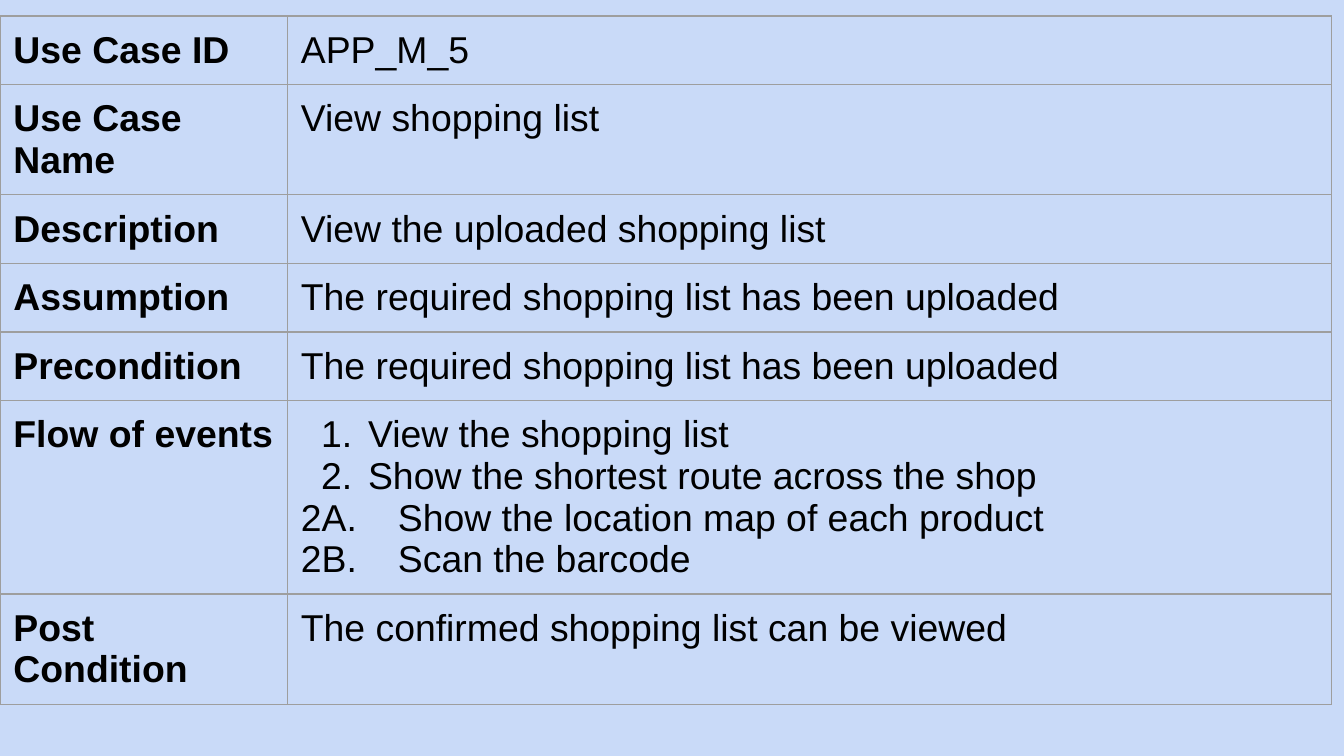
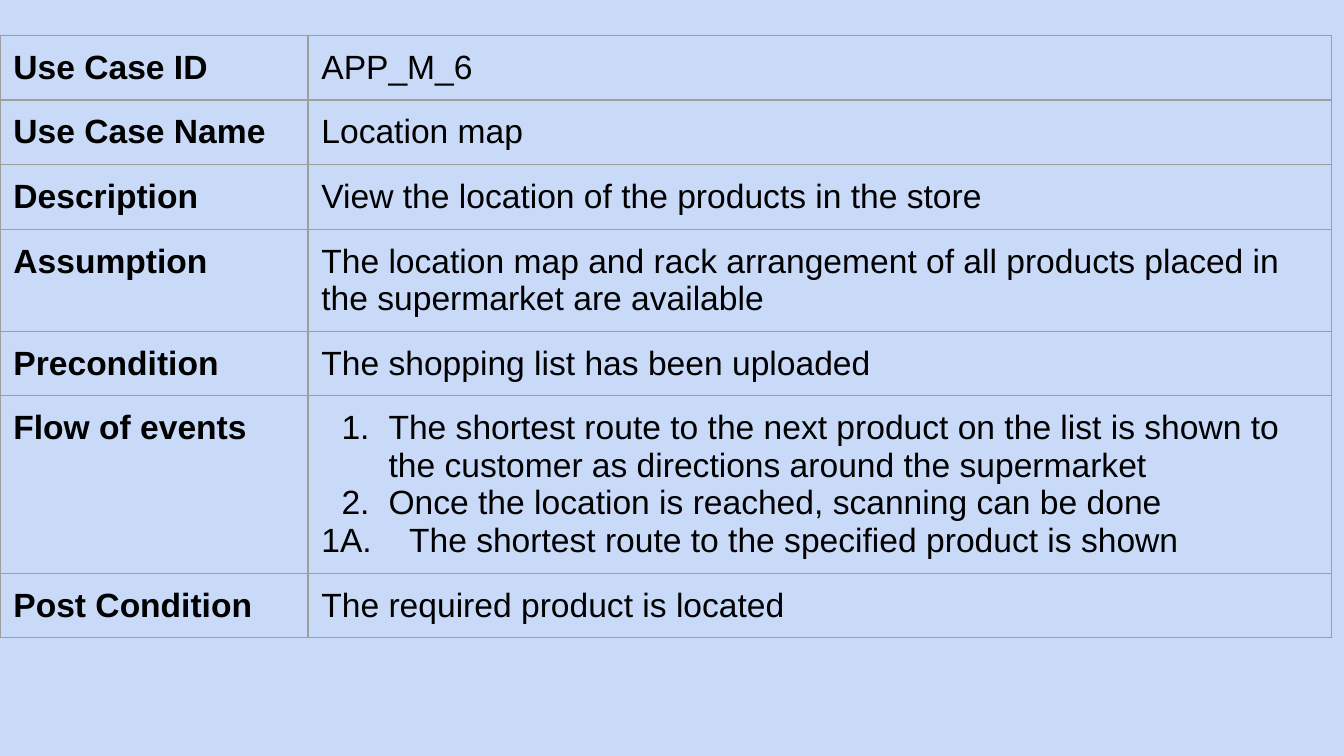
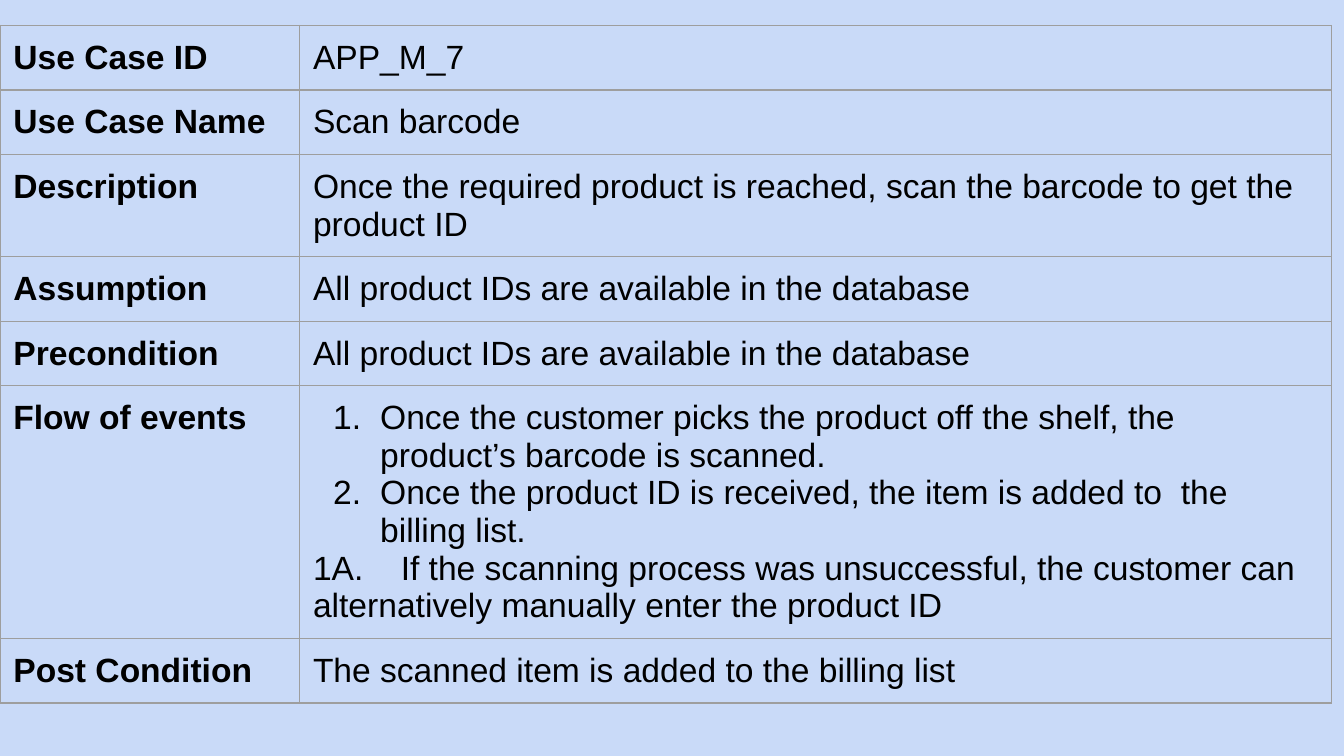
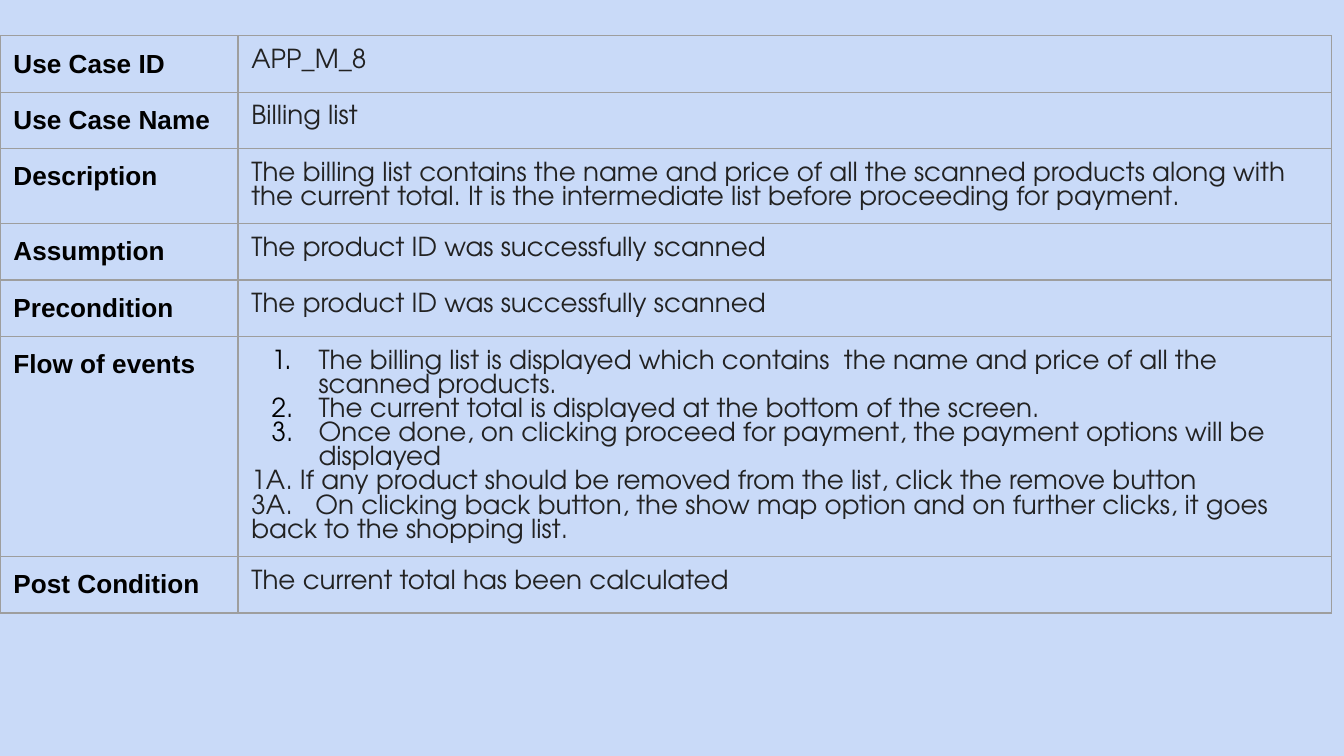
from dataclasses import dataclass

from lxml import etree
from pptx import Presentation
from pptx.dml.color import RGBColor
from pptx.oxml.ns import qn
from pptx.util import Pt

# Shared look
BACKGROUND = RGBColor(0xC9, 0xDA, 0xF8)
BORDER = RGBColor(0x9E, 0x9E, 0x9E)
BLACK = RGBColor(0x00, 0x00, 0x00)
CHARCOAL = RGBColor(0x22, 0x22, 0x22)

SLIDE_WIDTH, SLIDE_HEIGHT = Pt(720), Pt(405)
TABLE_WIDTH = Pt(713.5)
ROW_HEIGHT = Pt(30)
CELL_MARGIN = Pt(7.2)
BORDER_WIDTH = Pt(0.75)
STEP_INDENT, STEP_HANGING = Pt(36), Pt(-25.2)
BORDER_SIDES = ("a:lnL", "a:lnR", "a:lnT", "a:lnB")


@dataclass(frozen=True)
class TextStyle:
    size: float
    font: str = "Arial"
    color: RGBColor = BLACK
    bold: bool = False


@dataclass(frozen=True)
class Alternative:
    """A side path of the flow; its text starts at a tab stop, in points."""
    label: str
    text: str
    text_start: float


@dataclass(frozen=True)
class UseCase:
    case_id: str
    name: str
    description: str
    assumption: str
    precondition: str
    steps: tuple[str, ...]
    alternatives: tuple[Alternative, ...]
    post_condition: str
    top: float
    height: float
    label_width: float
    detail_style: TextStyle


USE_CASES = (
    UseCase(
        case_id="APP_M_5",
        name="View shopping list",
        description="View the uploaded shopping list",
        assumption="The required shopping list has been uploaded",
        precondition="The required shopping list has been uploaded",
        steps=("View the shopping list",
               "Show the shortest route across the shop"),
        alternatives=(
            Alternative("2A.", "Show the location map of each product", 52),
            Alternative("2B.", "Scan the barcode", 52)),
        post_condition="The confirmed shopping list can be viewed",
        top=8.6, height=388.8, label_width=154,
        detail_style=TextStyle(20)),
    UseCase(
        case_id="APP_M_6",
        name="Location map",
        description="View the location of the products in the store",
        assumption="The location map and rack arrangement of all products "
                   "placed in the supermarket are available",
        precondition="The shopping list has been uploaded",
        steps=("The shortest route to the next product on the list is shown "
               "to the customer as directions around the supermarket",
               "Once the location is reached, scanning can be done"),
        alternatives=(
            Alternative("1A.", "The shortest route to the specified product "
                               "is shown", 47),),
        post_condition="The required product is located",
        top=19, height=338.4, label_width=165,
        detail_style=TextStyle(18)),
    UseCase(
        case_id="APP_M_7",
        name="Scan barcode",
        description="Once the required product is reached, scan the barcode "
                    "to get the product ID",
        assumption="All product IDs are available in the database",
        precondition="All product IDs are available in the database",
        steps=("Once the customer picks the product off the shelf, the "
               "product’s barcode is scanned.",
               "Once the product ID is received, the item is added to  the "
               "billing list."),
        alternatives=(
            Alternative("1A.", "If the scanning process was unsuccessful, the "
                               "customer can alternatively manually enter the "
                               "product ID", 47),),
        post_condition="The scanned item is added to the billing list",
        top=13.6, height=381.6, label_width=160.5,
        detail_style=TextStyle(18)),
    UseCase(
        case_id="APP_M_8",
        name="Billing list",
        description="The billing list contains the name and price of all the "
                    "scanned products along with the current total. It is the "
                    "intermediate list before proceeding for payment.",
        assumption="The product ID was successfully scanned",
        precondition="The product ID was successfully scanned",
        steps=("The billing list is displayed which contains  the name and "
               "price of all the scanned products.",
               "The current total is displayed at the bottom of the screen.",
               "Once done, on clicking proceed for payment, the payment "
               "options will be displayed"),
        alternatives=(
            Alternative("1A.", "If any product should be removed from the "
                               "list, click the remove button", 26),
            Alternative("3A.", "On clicking back button, the show map option "
                               "and on further clicks, it goes back to the "
                               "shopping list.", 34.3)),
        post_condition="The current total has been calculated",
        top=19.2, height=352.8, label_width=127.5,
        detail_style=TextStyle(14, "TeX Gyre Adventor", CHARCOAL)),
)


# Text
def write(paragraph, text: str, style: TextStyle) -> None:
    paragraph.text = text
    for run in paragraph.runs:
        run.font.name = style.font
        run.font.size = Pt(style.size)
        run.font.bold = style.bold
        run.font.color.rgb = style.color


def number_step(paragraph) -> None:
    properties = paragraph._p.get_or_add_pPr()
    properties.set("marL", str(STEP_INDENT))
    properties.set("indent", str(STEP_HANGING))
    bullet_color = etree.SubElement(properties, qn("a:buClr"))
    etree.SubElement(bullet_color, qn("a:srgbClr"), val=str(BLACK))
    etree.SubElement(properties, qn("a:buAutoNum"), type="arabicPeriod")


def set_tab_stop(paragraph, position: float) -> None:
    properties = paragraph._p.get_or_add_pPr()
    stops = etree.SubElement(properties, qn("a:tabLst"))
    etree.SubElement(stops, qn("a:tab"), pos=str(Pt(position)), algn="l")


def write_flow(cell, case: UseCase) -> None:
    frame = cell.text_frame
    for index, step in enumerate(case.steps):
        paragraph = frame.add_paragraph() if index else frame.paragraphs[0]
        write(paragraph, step, case.detail_style)
        number_step(paragraph)
    for alternative in case.alternatives:
        paragraph = frame.add_paragraph()
        write(paragraph, f"{alternative.label}\t{alternative.text}",
              case.detail_style)
        set_tab_stop(paragraph, alternative.text_start)


# Table
def format_cell(cell) -> None:
    cell.margin_left = cell.margin_right = CELL_MARGIN
    cell.margin_top = cell.margin_bottom = CELL_MARGIN
    properties = cell._tc.get_or_add_tcPr()
    for side in BORDER_SIDES:
        line = etree.SubElement(properties, qn(side), w=str(BORDER_WIDTH))
        fill = etree.SubElement(line, qn("a:solidFill"))
        etree.SubElement(fill, qn("a:srgbClr"), val=str(BORDER))
    cell.fill.background()


def add_use_case(deck, case: UseCase) -> None:
    slide = deck.slides.add_slide(deck.slide_layouts[6])
    slide.background.fill.solid()
    slide.background.fill.fore_color.rgb = BACKGROUND

    details = {
        "Use Case ID": case.case_id,
        "Use Case Name": case.name,
        "Description": case.description,
        "Assumption": case.assumption,
        "Precondition": case.precondition,
        "Flow of events": None,
        "Post Condition": case.post_condition,
    }
    frame = slide.shapes.add_table(len(details), 2, Pt(0), Pt(case.top),
                                   TABLE_WIDTH, Pt(case.height))
    table = frame.table
    table.first_row = table.horz_banding = False
    table.columns[0].width = Pt(case.label_width)
    table.columns[1].width = TABLE_WIDTH - Pt(case.label_width)

    label_style = TextStyle(case.detail_style.size, bold=True)
    for row, (label, detail) in zip(table.rows, details.items()):
        row.height = ROW_HEIGHT
        label_cell, detail_cell = row.cells
        format_cell(label_cell)
        format_cell(detail_cell)
        write(label_cell.text_frame.paragraphs[0], label, label_style)
        if detail is None:
            write_flow(detail_cell, case)
        else:
            write(detail_cell.text_frame.paragraphs[0], detail,
                  case.detail_style)
    # Row heights reset the frame, so its height is set last
    frame.height = Pt(case.height)


def main() -> None:
    deck = Presentation()
    deck.slide_width, deck.slide_height = SLIDE_WIDTH, SLIDE_HEIGHT
    for case in USE_CASES:
        add_use_case(deck, case)
    deck.save("out.pptx")


if __name__ == "__main__":
    main()
